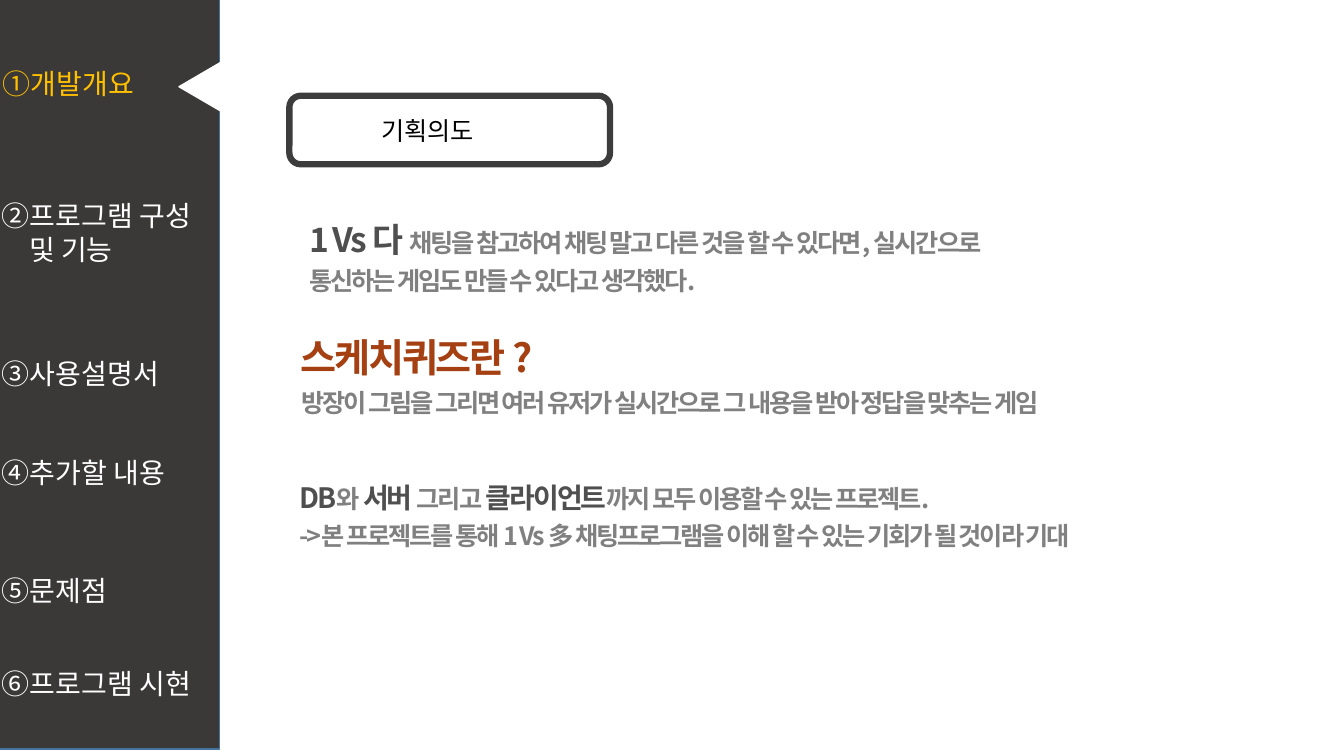
from pptx import Presentation
from pptx.dml.color import RGBColor
from pptx.enum.shapes import MSO_SHAPE
from pptx.enum.text import MSO_ANCHOR, PP_ALIGN
from pptx.util import Inches, Pt
from lxml.etree import SubElement
from pptx.oxml.ns import qn

FONT = "Noto Sans CJK KR"
WHITE, GOLD, DARK, GREY, RUST = "FFFFFF", "FFC000", "4F4F4F", "808080", "A54013"


def color(code):
    return RGBColor.from_string(code)


def add_run(para, text, size, code, bold=False, gap=0):
    run = para.add_run()
    run.text = text
    font = run.font
    font.name, font.size, font.bold = FONT, Pt(size), bold
    font.color.rgb = color(code)
    props = run._r.get_or_add_rPr()
    SubElement(props, qn("a:ea")).set("typeface", FONT)
    if gap:
        props.set("spc", str(int(gap * 100)))


def indent(para, inches):
    para._p.get_or_add_pPr().set("marL", str(Inches(inches)))


def add_box(slide, left, top, width, height):
    box = slide.shapes.add_textbox(Inches(left), Inches(top), Inches(width), Inches(height))
    box.text_frame.word_wrap = True
    return box.text_frame


def add_item(slide, left, top, width, height, lines, code=WHITE, spacing=None):
    """Menu entry; lines after the first hang under its label."""
    frame = add_box(slide, left, top, width, height)
    for i, line in enumerate(lines):
        para = frame.add_paragraph() if i else frame.paragraphs[0]
        if i:
            indent(para, 0.27)
        if spacing:
            para.line_spacing = spacing
            para.alignment = PP_ALIGN.JUSTIFY
        add_run(para, line, 20, code)


def add_body(slide, left, top, width, height, lines):
    """Bold tight text; each line is a list of (text, size, color)."""
    frame = add_box(slide, left, top, width, height)
    for i, line in enumerate(lines):
        para = frame.add_paragraph() if i else frame.paragraphs[0]
        para.line_spacing = 1.2
        for text, size, code in line:
            add_run(para, text, size, code, True, -1.5)


def add_form(slide, kind, left, top, width, height, fill, line, weight):
    form = slide.shapes.add_shape(kind, Inches(left), Inches(top), Inches(width), Inches(height))
    form.shadow.inherit = False
    if fill:
        form.fill.solid()
        form.fill.fore_color.rgb = color(fill)
    else:
        form.fill.background()
    form.line.color.rgb = color(line)
    form.line.width = Pt(weight)
    return form


def add_title(slide, text):
    form = add_form(slide, MSO_SHAPE.ROUNDED_RECTANGLE, 2.87, 0.95, 3.18, 0.68,
                    None, "3C3C3C", 4.5)
    frame = form.text_frame
    frame.vertical_anchor = MSO_ANCHOR.MIDDLE
    para = frame.paragraphs[0]
    para.alignment = PP_ALIGN.LEFT
    indent(para, 0.78)
    add_run(para, text, 18, "000000")


def main():
    deck = Presentation()
    deck.slide_width, deck.slide_height = Inches(13.33), Inches(7.5)
    slide = deck.slides.add_slide(deck.slide_layouts[6])

    # Sidebar and its pointer
    add_form(slide, MSO_SHAPE.RECTANGLE, -0.08, -0.07, 2.26, 7.5, "3B3838", "43739E", 1)
    mark = add_form(slide, MSO_SHAPE.ISOSCELES_TRIANGLE, 1.74, 0.65, 0.49, 0.42,
                    WHITE, WHITE, 1)
    mark.rotation = 270

    # Menu
    add_item(slide, -0.07, 0.61, 3.04, 0.44, ["①개발개요"], GOLD)
    add_item(slide, -0.08, 1.92, 4.29, 1.11, ["②프로그램 구성", "및 기능"])
    for top, text in ((3.29, "③사용설명서"), (4.27, "④추가할 내용"),
                      (5.44, "⑤문제점"), (6.36, "⑥프로그램 시현")):
        add_item(slide, -0.08, top, 3.6, 0.64, [text], spacing=1.6)

    # Content
    add_title(slide, "기획의도")
    add_body(slide, 2.97, 2.04, 8.7, 0.95, [
        [("1 Vs 다 ", 24, DARK),
         ("채팅을 참고하여 채팅 말고 다른 것을 할 수 있다면, 실시간으로", 18, GREY)],
        [("통신하는 게임도 만들 수 있다고 생각했다.", 18, GREY)]])
    add_body(slide, 2.88, 3.16, 8.7, 0.67, [[("스케치퀴즈란 ?", 28, RUST)]])
    add_body(slide, 2.89, 3.73, 10.21, 0.46, [
        [("방장이 그림을 그리면 여러 유저가 실시간으로 그 내용을 받아 정답을 맞추는 게임", 18, GREY)]])
    add_body(slide, 2.87, 4.65, 9.74, 0.87, [
        [("DB", 20, DARK), ("와 ", 18, GREY), ("서버 ", 20, DARK), ("그리고 ", 18, GREY),
         ("클라이언트", 20, DARK), ("까지 모두 이용할 수 있는 프로젝트.", 18, GREY)],
        [("->본 프로젝트를 통해 1 Vs 多 채팅프로그램을 이해 할 수 있는 기회가 될 것이라 기대", 18, GREY)]])

    deck.save("out.pptx")


if __name__ == "__main__":
    main()
